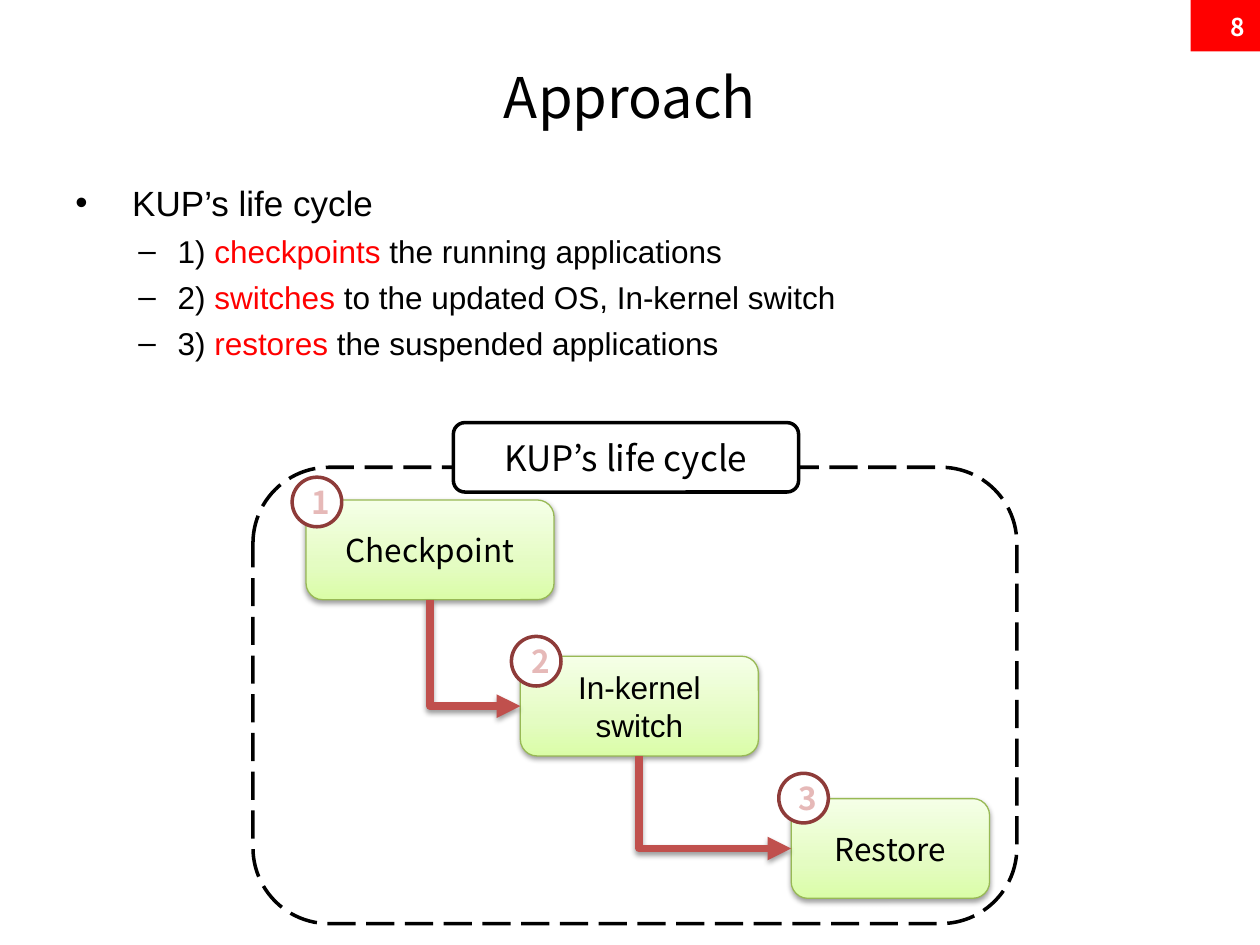
import copy

from pptx import Presentation, oxml
from pptx import util as u
from pptx.dml import color
from pptx.enum import dml, shapes, text
from pptx.oxml import ns

COLORS = {
    "black": "000000", "white": "FFFFFF", "red": "FF0000",
    "green_line": "98B955", "badge_line": "8E3B39", "badge_text": "E6B9B8",
    "arrow": "C0504D",
}
GREEN_STOPS = [(0, "DAFDA7"), (0.35, "E4FCC2"), (1, "F5FFE7")]
SANS, NOTO = "Arial", "Noto Sans CJK KR"
ALIGN = text.PP_ALIGN


def rgb(name):
    return color.RGBColor.from_string(COLORS.get(name, name))


def xml(markup):
    """Parse one drawing element, given without its namespace declaration."""
    head, tail = markup.split(" ", 1)
    return oxml.parse_xml(f"{head} {ns.nsdecls('a')} {tail}")


def write(para, words, size=18, font=NOTO, ink="black", bold=False, align=None):
    """Add one formatted span to a paragraph."""
    span = para.add_run()
    span.text = words
    span.font.size = u.Pt(size)
    span.font.name = font
    span.font.bold = bold
    span.font.color.rgb = rgb(ink)
    if align is not None:
        para.alignment = align
    return span


def add_box(page, kind, box, fill=None, line=None, weight=2.0):
    shape = page.shapes.add_shape(kind, *map(u.Cm, box))
    shape.shadow.inherit = False
    if fill:
        shape.fill.solid()
        shape.fill.fore_color.rgb = rgb(fill)
    if line:
        shape.line.color.rgb = rgb(line)
        shape.line.width = u.Pt(weight)
    else:
        shape.line.fill.background()
    frame = shape.text_frame
    frame.word_wrap = True
    frame.vertical_anchor = text.MSO_ANCHOR.MIDDLE
    return shape


def drop_shadow(item):
    properties = item._element.spPr
    for effects in properties.findall(ns.qn("a:effectLst")):
        properties.remove(effects)
    properties.append(xml(
        '<a:effectLst ><a:outerShdw blurRad="40000" dist="20000" dir="5400000" '
        'rotWithShape="0"><a:srgbClr val="000000"><a:alpha val="38000"/>'
        '</a:srgbClr></a:outerShdw></a:effectLst>'))


def shade_green(shape):
    shape.fill.gradient()
    shape.fill.gradient_angle = 90
    stops = shape._element.spPr.find(".//" + ns.qn("a:gsLst"))
    stops.append(copy.deepcopy(stops[-1]))
    for stop, (position, hue) in zip(shape.fill.gradient_stops, GREEN_STOPS):
        stop.position = position
        stop.color.rgb = rgb(hue)


def add_page_number(page, left, top, width, height):
    add_box(page, shapes.MSO_SHAPE.RECTANGLE, (left, top, width, height), "red")
    box = page.shapes.add_textbox(
        *map(u.Cm, (left + width - 5.97, top + 0.03, 5.92, 1.02)))
    box.text_frame.word_wrap = True
    box.text_frame.vertical_anchor = text.MSO_ANCHOR.MIDDLE
    write(box.text_frame.paragraphs[0], "8", size=14, ink="white", bold=True,
          align=ALIGN.RIGHT)


def add_title(page, left, top, width, height):
    title = page.shapes.title
    title.left, title.top, title.width, title.height = map(
        u.Cm, (left, top, width, height))
    title.text_frame.vertical_anchor = text.MSO_ANCHOR.MIDDLE
    write(title.text_frame.paragraphs[0], "Approach", size=32, align=ALIGN.CENTER)


def set_bullet(para, mark, margin, hanging):
    properties = para._p.get_or_add_pPr()
    properties.set("marL", str(u.Cm(margin)))
    properties.set("indent", str(-u.Cm(hanging)))
    properties.append(xml('<a:buFont typeface="Arial"/>'))
    properties.append(xml(f'<a:buChar char="{mark}"/>'))


def add_bullets(page, left, top, width, height):
    box = page.shapes.add_textbox(*map(u.Cm, (left, top, width, height)))
    frame = box.text_frame
    frame.word_wrap = True
    head = frame.paragraphs[0]
    head.space_before = u.Pt(4.7)
    set_bullet(head, "•", 0.95, 0.95)
    write(head, " KUP’s life cycle", size=20, font=SANS)
    steps = [
        ("checkpoints", " the running applications"),
        ("switches", " to the updated OS, In-kernel switch"),
        ("restores", " the suspended applications"),
    ]
    for number, (verb, rest) in enumerate(steps, 1):
        para = frame.add_paragraph()
        para.level = 1
        para.space_before = u.Pt(4.7)
        set_bullet(para, "–", 2.06, 0.79)
        write(para, f"{number}) ", font=SANS)
        write(para, verb, font=SANS, ink="red")
        write(para, rest, font=SANS)


def add_step(page, words, font, left, top, width):
    step = add_box(page, shapes.MSO_SHAPE.ROUNDED_RECTANGLE,
                   (left, top, width, 2.01), line="green_line", weight=0.75)
    shade_green(step)
    drop_shadow(step)
    write(step.text_frame.paragraphs[0], words, font=font, align=ALIGN.CENTER)
    return step


def add_badge(page, number, left, top):
    badge = add_box(page, shapes.MSO_SHAPE.OVAL, (left, top, 1, 1),
                    "white", "badge_line")
    span = write(badge.text_frame.paragraphs[0], str(number), ink="badge_text",
                 bold=True, align=ALIGN.CENTER)
    span._r.get_or_add_rPr().insert(0, xml(
        f'<a:ln w="{u.Pt(1.75)}"><a:solidFill><a:srgbClr val="{COLORS["arrow"]}"/>'
        '</a:solidFill></a:ln>'))


def add_elbow(page, start, end):
    """Arrow from the bottom of one step, down and right to the next one's side."""
    arrow = page.shapes.add_connector(shapes.MSO_CONNECTOR.ELBOW, 0, 0, 0, 0)
    arrow.begin_connect(start, 2)
    arrow.end_connect(end, 1)
    from_x, from_y = start.left + start.width // 2, start.top + start.height
    across, down = end.left - from_x, end.top + end.height // 2 - from_y
    # A one-bend connector turned by 270 degrees swaps its width and height
    arrow.left = from_x + (across - down) // 2
    arrow.top = from_y + (down - across) // 2
    arrow.width, arrow.height = down, across
    properties = arrow._element.spPr
    properties.xfrm.set("rot", "16200000")
    properties.xfrm.set("flipH", "1")
    properties.find(ns.qn("a:prstGeom")).set("prst", "bentConnector2")
    arrow.line.color.rgb = rgb("arrow")
    arrow.line.width = u.Pt(4.5)
    properties.find(ns.qn("a:ln")).append(xml('<a:tailEnd type="triangle"/>'))
    drop_shadow(arrow)


def add_life_cycle(page, left, top, width, height):
    rounded = shapes.MSO_SHAPE.ROUNDED_RECTANGLE
    frame = add_box(page, rounded, (left, top, width, height), "white", "black")
    frame.line.dash_style = dml.MSO_LINE.LONG_DASH
    # Steps: words, font, place and width, then place of the badge
    plan = [
        ("Checkpoint", NOTO, (1.07, 0.66, 5), (0.79, 0.2)),
        ("In-kernel switch", SANS, (5.39, 3.81, 4.8), (5.21, 3.41)),
        ("Restore", NOTO, (10.85, 6.68, 4), (10.6, 6.17)),
    ]
    steps = [add_step(page, words, font, left + x, top + y, wide)
             for words, font, (x, y, wide), _ in plan]
    for number, (_, _, _, (x, y)) in enumerate(plan, 1):
        add_badge(page, number, left + x, top + y)
    # Heading over the top edge
    label = add_box(page, rounded, (left + 4.04, top - 0.9, 6.96, 1.4),
                    "white", "black")
    write(label.text_frame.paragraphs[0], "KUP’s life cycle", size=20,
          align=ALIGN.CENTER)
    for start, end in zip(steps, steps[1:]):
        add_elbow(page, start, end)


def main():
    deck = Presentation()
    deck.slide_width, deck.slide_height = u.Cm(25.4), u.Cm(19.05)
    page = deck.slides.add_slide(deck.slide_layouts[5])
    add_page_number(page, 24, 0, 1.4, 1.04)
    add_title(page, 1.27, 0.76, 22.86, 2.36)
    add_bullets(page, 1.27, 3.53, 23.42, 14.6)
    add_life_cycle(page, 5.1, 9.42, 15.4, 9.2)
    deck.save("out.pptx")


if __name__ == "__main__":
    main()
